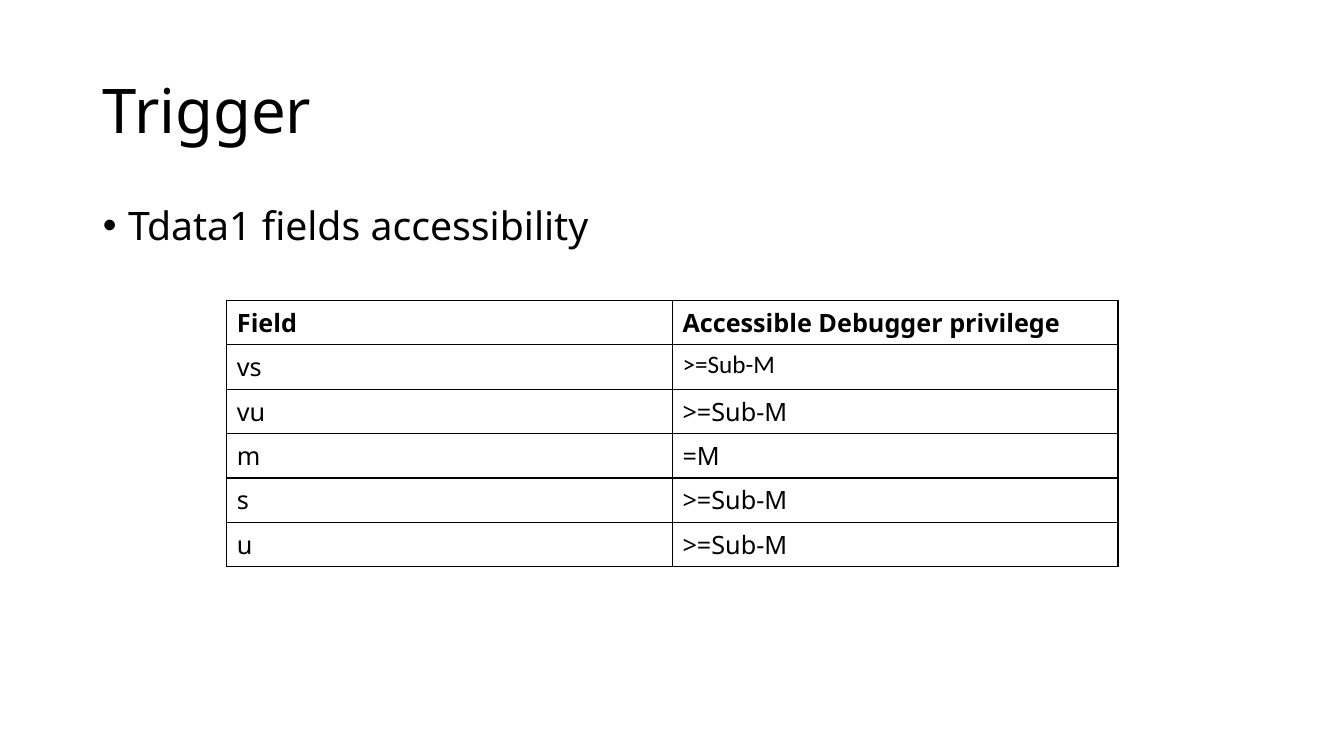
from lxml import etree
from pptx import Presentation
from pptx import util as u
from pptx.dml.color import RGBColor
from pptx.enum import text
from pptx.oxml.ns import qn

TITLE = "Trigger"
BULLET = "Tdata1 fields accessibility"
ROWS = [
    ("Field", "Accessible Debugger privilege"),
    ("vs", ">=Sub-M"),
    ("vu", ">=Sub-M"),
    ("m", "=M"),
    ("s", ">=Sub-M"),
    ("u", ">=Sub-M"),
]
COLORS = {"ink": "000000"}
FONT, ALT_FONT = "Noto Sans", "Calibri"
ALT_CELL = (1, 1)
WIDTH, HEIGHT = 13.33, 7.5
MARGIN = 0.92
TABLE_LEFT, TABLE_TOP = 2.25, 2.98
COL_W, ROW_H = 4.42, 0.44


def place(sp, left, top, width, height):
    sp.left, sp.top = u.Inches(left), u.Inches(top)
    sp.width, sp.height = u.Inches(width), u.Inches(height)


def style(p, size, name=FONT, bold=False):
    p.alignment = text.PP_ALIGN.LEFT
    p.font.size, p.font.name, p.font.bold = u.Pt(size), name, bold
    p.font.color.rgb = RGBColor.from_string(COLORS["ink"])


def add_borders(cell):
    tcPr = cell._tc.get_or_add_tcPr()
    for i, side in enumerate(("lnL", "lnR", "lnT", "lnB")):
        ln = etree.Element(qn("a:" + side), w=str(u.Pt(1)))
        fill = etree.SubElement(ln, qn("a:solidFill"))
        etree.SubElement(fill, qn("a:srgbClr"), val=COLORS["ink"])
        tcPr.insert(i, ln)


def add_heading(s):
    title, body = s.shapes.title, s.placeholders[1]
    for sp, words, size, top, height in (
        (title, TITLE, 44, 0.4, 1.45),
        (body, BULLET, 28, 2, 4.76),
    ):
        place(sp, MARGIN, top, WIDTH - 2 * MARGIN, height)
        sp.text_frame.text = words
        p = sp.text_frame.paragraphs[0]
        style(p, size)
        p.line_spacing = 0.9
    title.text_frame.vertical_anchor = text.MSO_ANCHOR.MIDDLE
    p = body.text_frame.paragraphs[0]
    p.space_before = u.Pt(10)
    pPr = p._p.get_or_add_pPr()
    pPr.set("marL", str(u.Inches(0.25)))
    pPr.set("indent", str(u.Inches(-0.25)))


def add_privileges(s):
    n_rows, n_cols = len(ROWS), len(ROWS[0])
    table = s.shapes.add_table(
        n_rows, n_cols, u.Inches(TABLE_LEFT), u.Inches(TABLE_TOP),
        u.Inches(n_cols * COL_W), u.Inches(n_rows * ROW_H)).table
    table.first_row = table.horz_banding = False
    for r, row in enumerate(ROWS):
        for c, words in enumerate(row):
            cell = table.cell(r, c)
            cell.text = words
            cell.fill.background()
            name = ALT_FONT if (r, c) == ALT_CELL else FONT
            style(cell.text_frame.paragraphs[0], 18, name, r == 0)
            add_borders(cell)


def main():
    prs = Presentation()
    prs.slide_width, prs.slide_height = u.Inches(WIDTH), u.Inches(HEIGHT)
    s = prs.slides.add_slide(prs.slide_layouts[1])
    add_heading(s)
    add_privileges(s)
    prs.save("out.pptx")


if __name__ == "__main__":
    main()
